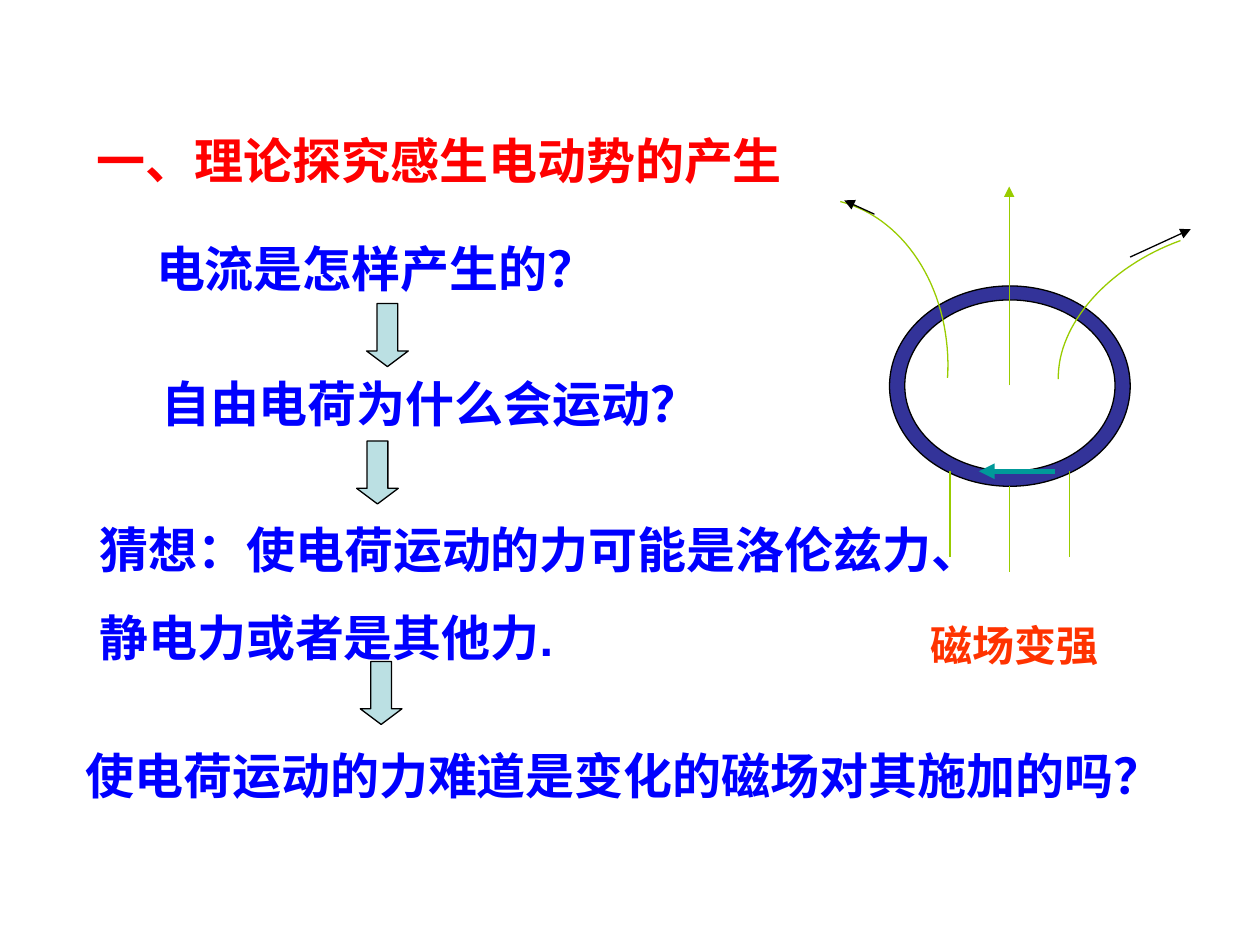
from dataclasses import dataclass

import pptx
import pptx.dml.color
import pptx.enum.shapes
import pptx.enum.text
import pptx.oxml
import pptx.oxml.ns
import pptx.util

Pt = pptx.util.Pt
Align = pptx.enum.text.PP_ALIGN
Shape = pptx.enum.shapes.MSO_SHAPE

COLORS = {
    "title": "FF0000", "question": "0000FF", "label": "FF3300",
    "step": "BBE0E3", "ring": "333399", "inside": "FFFFFF",
    "field": "99CC00", "current": "009999", "outline": "000000",
}
CJK_FONT = "Noto Sans CJK SC"


@dataclass
class Caption:
    text: str
    left: float
    top: float
    width: float
    height: float = 57.6
    size: float = 28
    color: str = "question"
    font: str = "Arial"
    align: Align = Align.LEFT


@dataclass
class Line:
    start: tuple[float, float]
    end: tuple[float, float]
    color: str = "field"
    width: float = 0.75
    arrow: bool = False


TITLE = Caption("一、理论探究感生电动势的产生", 48.2, 54, 549.4,
                color="title", font=CJK_FONT)
CAPTIONS = [
    Caption("磁场变强", 507.6, 336.2, 144, 50.4, 24, "label", "Roboto", Align.CENTER),
    Caption("电流是怎样产生的？", 82.1, 115.9, 329.8),
    Caption("自由电荷为什么会运动？", 85, 193, 329.8),
    Caption("使电荷运动的力难道是变化的磁场对其施加的吗？", 41.8, 405.4, 640,
            align=Align.JUSTIFY),
    Caption("猜想：使电荷运动的力可能是洛伦兹力、静电力或者是其他力.",
            49.7, 276.5, 489.6, 108, align=Align.JUSTIFY),
]
STEP_ARROWS = [(209.5, 173.5), (203.8, 252), (205.9, 378)]
AXIS = 576.7
LINES = [
    Line((AXIS, 220.3), (AXIS, 106.6), arrow=True),
    Line((AXIS, 277.9), (AXIS, 326.9)),
    Line((542.9, 269.3), (542.9, 318.2)),
    Line((611.3, 269.3), (611.3, 318.2)),
    Line((499.7, 122.4), (482.4, 114.5), "outline", arrow=True),
    Line((645.8, 146.9), (680.4, 131), "outline", arrow=True),
    Line((602.6, 269.3), (559.4, 269.3), "current", 3, True),
]
# Each field curve: start, two control points, end
FIELD_CURVES = [
    ((480.2, 115.2), (519.1, 125.3), (544.3, 168.5), (541.5, 216)),
    ((604.8, 216.7), (604.1, 185.8), (632.9, 152.6), (674.6, 137.5)),
]


def rgb(name: str) -> pptx.dml.color.RGBColor:
    return pptx.dml.color.RGBColor.from_string(COLORS[name])


def write_caption(box, caption: Caption) -> None:
    box.left, box.top = Pt(caption.left), Pt(caption.top)
    box.width, box.height = Pt(caption.width), Pt(caption.height)
    frame = box.text_frame
    frame.word_wrap = True
    frame.auto_size = pptx.enum.text.MSO_AUTO_SIZE.SHAPE_TO_FIT_TEXT
    frame.vertical_anchor = pptx.enum.text.MSO_ANCHOR.TOP
    para = frame.paragraphs[0]
    para.alignment = caption.align
    para.line_spacing = 1.5
    para.space_before = Pt(0)
    span = para.add_run()
    span.text = caption.text
    span.font.size = Pt(caption.size)
    span.font.bold = True
    span.font.color.rgb = rgb(caption.color)
    span.font.name = caption.font
    # East Asian typeface
    east_asian = pptx.oxml.parse_xml(
        f'<a:ea {pptx.oxml.ns.nsdecls("a")} typeface="{CJK_FONT}"/>')
    span.font._element.append(east_asian)


def add_solid(page, kind: Shape, left: float, top: float, width: float,
              height: float, fill: str):
    shape = page.shapes.add_shape(kind, Pt(left), Pt(top), Pt(width), Pt(height))
    shape.shadow.inherit = False
    shape.fill.solid()
    shape.fill.fore_color.rgb = rgb(fill)
    shape.line.color.rgb = rgb("outline")
    shape.line.width = Pt(0.75)
    return shape


def add_line(page, line: Line) -> None:
    connector = page.shapes.add_connector(
        pptx.enum.shapes.MSO_CONNECTOR.STRAIGHT,
        *(Pt(value) for value in line.start + line.end))
    connector.line.color.rgb = rgb(line.color)
    connector.line.width = Pt(line.width)
    namespace = pptx.oxml.ns.nsdecls("a")
    if line.arrow:
        connector.line._get_or_add_ln().append(
            pptx.oxml.parse_xml(f'<a:tailEnd {namespace} type="triangle"/>'))
    connector._element.spPr.append(pptx.oxml.parse_xml(f"<a:effectLst {namespace}/>"))


def add_curve(page, controls: tuple, steps: int = 32) -> None:
    points = []
    for step in range(steps + 1):
        t = step / steps
        weights = ((1 - t) ** 3, 3 * t * (1 - t) ** 2, 3 * t * t * (1 - t), t ** 3)
        points.append(tuple(
            Pt(sum(weight * point[axis] for weight, point in zip(weights, controls)))
            for axis in (0, 1)))
    builder = page.shapes.build_freeform(*points[0])
    builder.add_line_segments(points[1:], close=False)
    curve = builder.convert_to_shape()
    curve.shadow.inherit = False
    curve.fill.background()
    curve.line.color.rgb = rgb("field")
    curve.line.width = Pt(0.75)


def main() -> None:
    deck = pptx.Presentation()
    deck.slide_width, deck.slide_height = Pt(720), Pt(540)
    page = deck.slides.add_slide(deck.slide_layouts[5])

    # Title and chain of questions
    write_caption(page.shapes.title, TITLE)
    for caption in CAPTIONS:
        write_caption(page.shapes.add_textbox(0, 0, 0, 0), caption)
    for left, top in STEP_ARROWS:
        arrow = add_solid(page, Shape.DOWN_ARROW, left, top, 23.8, 36, "step")
        arrow.adjustments[0], arrow.adjustments[1] = 0.5, 0.375

    # Conducting ring
    add_solid(page, Shape.OVAL, 508.3, 163.4, 137.5, 114.5, "ring")
    add_solid(page, Shape.OVAL, 517, 171.4, 120.2, 97.9, "inside")

    # Magnetic field and induced current
    for controls in FIELD_CURVES:
        add_curve(page, controls)
    for line in LINES:
        add_line(page, line)

    deck.save("out.pptx")


if __name__ == "__main__":
    main()
